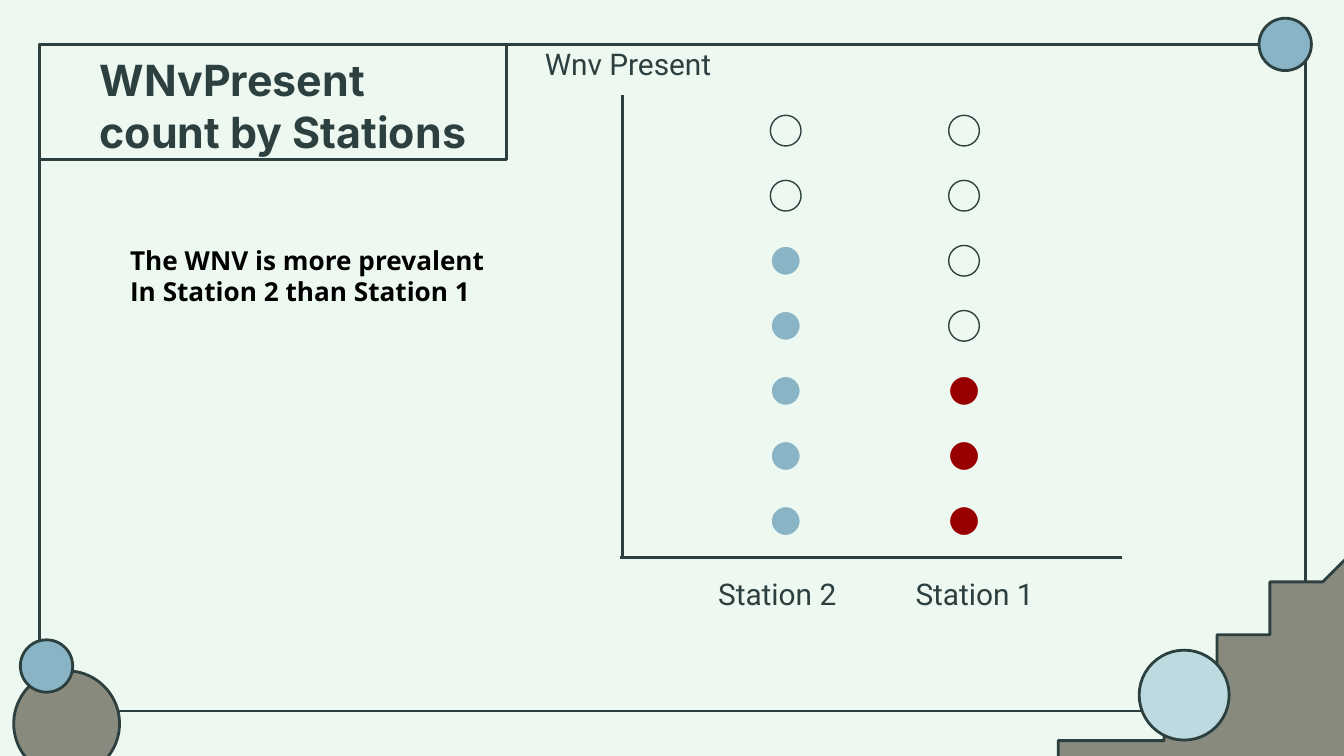
from lxml.etree import SubElement
from pptx import Presentation
from pptx.dml.color import RGBColor
from pptx.enum.shapes import MSO_CONNECTOR, MSO_SHAPE
from pptx.enum.text import MSO_ANCHOR, MSO_AUTO_SIZE, PP_ALIGN
from pptx.oxml.ns import qn
from pptx.util import Cm, Pt

COLORS = {
    "mint": "EDF8F0",
    "ink": "2D4040",
    "olive": "878A7D",
    "blue": "88B4C5",
    "pale": "BDDAE0",
    "red": "980000",
    "black": "000000",
}

# Centre x, centre y, diameter in cm, fill
CORNER_CIRCLES = [
    (1.26, 13.68, 2.0, "olive"),
    (24.29, 0.84, 0.99, "blue"),
    (0.88, 12.59, 0.99, "blue"),
]
HILL_CIRCLE = (22.38, 13.14, 1.7, "pale")

# Each curve starts where the one before it ends: two controls and an end, in cm
HILL_START = (17.91, 14.53)
HILL_CURVES = [
    ((18.06, 14.63), (18.36, 14.71), (18.36, 14.71)),
    ((18.85, 14.83), (19.76, 14.86), (21.03, 14.1)),
    ((23.06, 12.88), (23.16, 11.58), (25.32, 10.59)),
    ((26.44, 10.08), (27.38, 10.13), (27.99, 10.29)),
    ((28.5, 10.41), (28.8, 10.62), (28.8, 10.62)),
]
HILL_BASE = [(26.34, 19.81), (17.17, 17.48)]

# Label, centre of the dots, centre of the label, filled dots, fill
STATIONS = [
    ("Station 2", 14.85, 14.69, 5, "blue"),
    ("Station 1", 18.22, 18.42, 3, "red"),
]
DOTS, DOT_SIZE, DOT_TOP, DOT_STEP = 7, 0.58, 2.47, 1.23
LABEL_WIDTH, LABEL_HEIGHT = 5.23, 1.27


def color(name):
    return RGBColor.from_string(COLORS[name])


def style(shape, fill=None, line="ink", width=1.5):
    shape.shadow.inherit = False
    if fill:
        shape.fill.solid()
        shape.fill.fore_color.rgb = color(fill)
    else:
        shape.fill.background()
    shape.line.color.rgb = color(line)
    shape.line.width = Pt(width)


def add_circle(page, x, y, size, fill=None, **outline):
    circle = page.shapes.add_shape(
        MSO_SHAPE.OVAL, Cm(x - size / 2), Cm(y - size / 2), Cm(size), Cm(size))
    style(circle, fill, **outline)


def curve_points(start, first, second, end, steps=24):
    """Points along a cubic Bezier curve, without its start."""
    for step in range(1, steps + 1):
        t = step / steps
        weights = ((1 - t) ** 3, 3 * t * (1 - t) ** 2, 3 * t * t * (1 - t), t ** 3)
        yield tuple(sum(weight * point[axis] for weight, point
                        in zip(weights, (start, first, second, end)))
                    for axis in (0, 1))


def add_hill(page):
    points = [HILL_START]
    for curve in HILL_CURVES:
        points.extend(curve_points(points[-1], *curve))
    builder = page.shapes.build_freeform(*points[0], scale=Cm(1))
    builder.add_line_segments(points[1:] + HILL_BASE, close=True)
    style(builder.convert_to_shape(), "olive")


def add_axis(page, *ends):
    axis = page.shapes.add_connector(MSO_CONNECTOR.STRAIGHT, *map(Cm, ends))
    axis.line.color.rgb = color("ink")
    axis.line.width = Pt(1.5)
    SubElement(axis._element.spPr, qn("a:effectLst"))


def write(box, lines, font, align=PP_ALIGN.LEFT, **frame_format):
    frame = box.text_frame
    frame.word_wrap = True
    for name, value in frame_format.items():
        setattr(frame, name, value)
    frame.text = "\n".join(lines)
    for para in frame.paragraphs:
        para.alignment = align
        for span in para.runs:
            span.font.color.rgb = color(font["color"])
            for name in ("name", "size", "bold"):
                setattr(span.font, name, font[name])


def add_text(page, place, lines, font, **text_format):
    box = page.shapes.add_textbox(*map(Cm, place))
    margins = dict.fromkeys(
        ("margin_left", "margin_top", "margin_right", "margin_bottom"), Cm(0.25))
    write(box, lines, font, **margins, **text_format)


def add_label(page, center, top, text):
    font = {"name": "Roboto", "size": Pt(16), "bold": False, "color": "ink"}
    place = (center - LABEL_WIDTH / 2, top, LABEL_WIDTH, LABEL_HEIGHT)
    add_text(page, place, [text], font, align=PP_ALIGN.CENTER,
             vertical_anchor=MSO_ANCHOR.BOTTOM)


def add_title(page, text):
    title = page.shapes.title
    place = {"left": 0.74, "top": 0.84, "width": 8.84, "height": 2.18}
    for name, value in place.items():
        setattr(title, name, Cm(value))
    title.fill.background()
    title.line.color.rgb = color("ink")
    title.line.width = Pt(1.5)
    font = {"name": "Inter", "size": Pt(23), "bold": True, "color": "ink"}
    write(title, [text], font, vertical_anchor=MSO_ANCHOR.MIDDLE,
          auto_size=MSO_AUTO_SIZE.NONE, margin_left=Cm(1.14),
          margin_top=Cm(0.25), margin_right=Cm(0.35), margin_bottom=Cm(0.13))


def add_decoration(page):
    frame = page.shapes.add_shape(
        MSO_SHAPE.RECTANGLE, Cm(0.74), Cm(0.84), Cm(23.93), Cm(12.6))
    style(frame)
    for circle in CORNER_CIRCLES:
        add_circle(page, *circle)
    add_hill(page)
    add_circle(page, *HILL_CIRCLE)


def add_dot_plot(page):
    for label, x, label_center, filled, fill in STATIONS:
        for row in range(DOTS):
            y = DOT_TOP + row * DOT_STEP
            if row < DOTS - filled:
                add_circle(page, x, y, DOT_SIZE, width=0.75)
            else:
                add_circle(page, x, y, DOT_SIZE, fill, line="mint")
        add_label(page, label_center, 10.54, label)
    add_axis(page, 11.76, 1.8, 11.76, 10.54)
    add_axis(page, 21.21, 10.54, 11.71, 10.54)
    add_label(page, 11.87, 0.53, "Wnv Present")


def main():
    deck = Presentation()
    deck.slide_width, deck.slide_height = Cm(25.4), Cm(14.29)
    page = deck.slides.add_slide(deck.slide_layouts[5])
    page.background.fill.solid()
    page.background.fill.fore_color.rgb = color("mint")
    add_decoration(page)
    add_dot_plot(page)
    add_title(page, "WNvPresent count by Stations")
    font = {"name": "Open Sans", "size": Pt(14), "bold": True, "color": "black"}
    add_text(page, (2.21, 4.37, 20.37, 1.7),
             ["The WNV is more prevalent", "In Station 2 than Station 1"],
             font, auto_size=MSO_AUTO_SIZE.SHAPE_TO_FIT_TEXT)
    deck.save("out.pptx")


if __name__ == "__main__":
    main()
